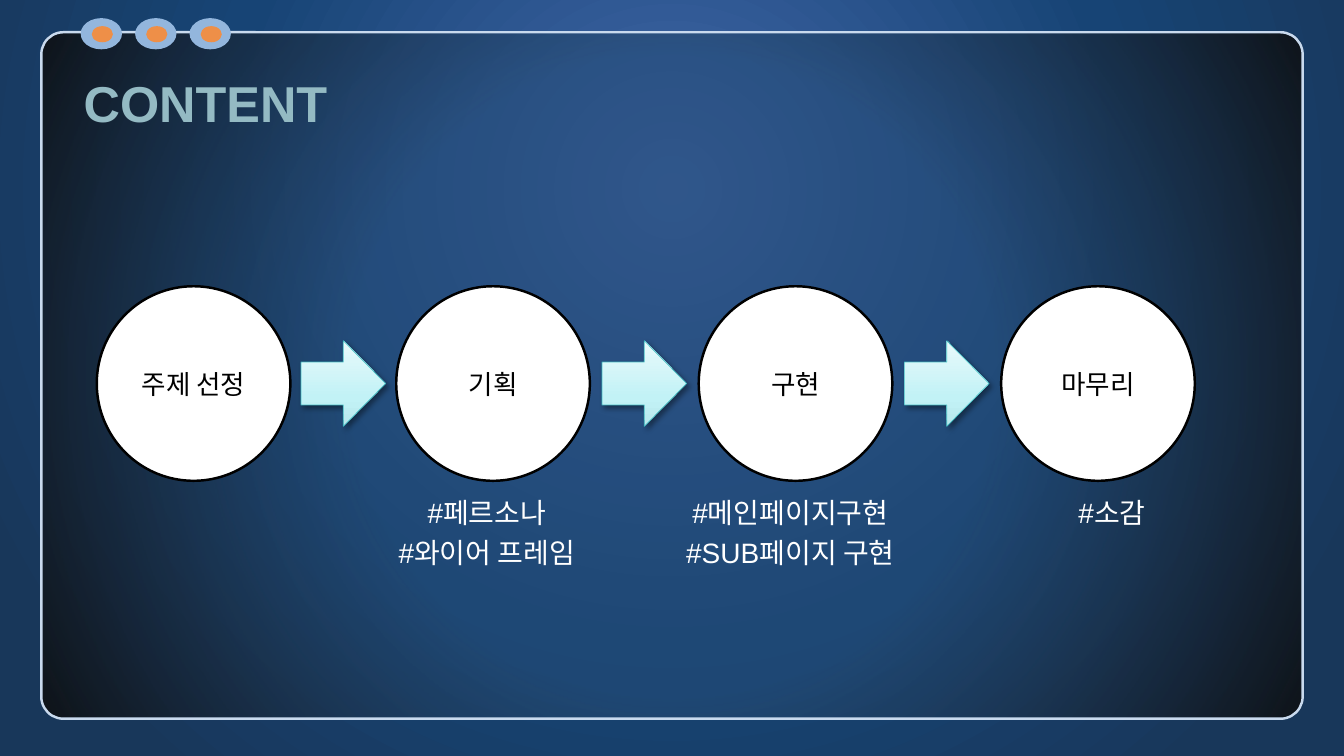
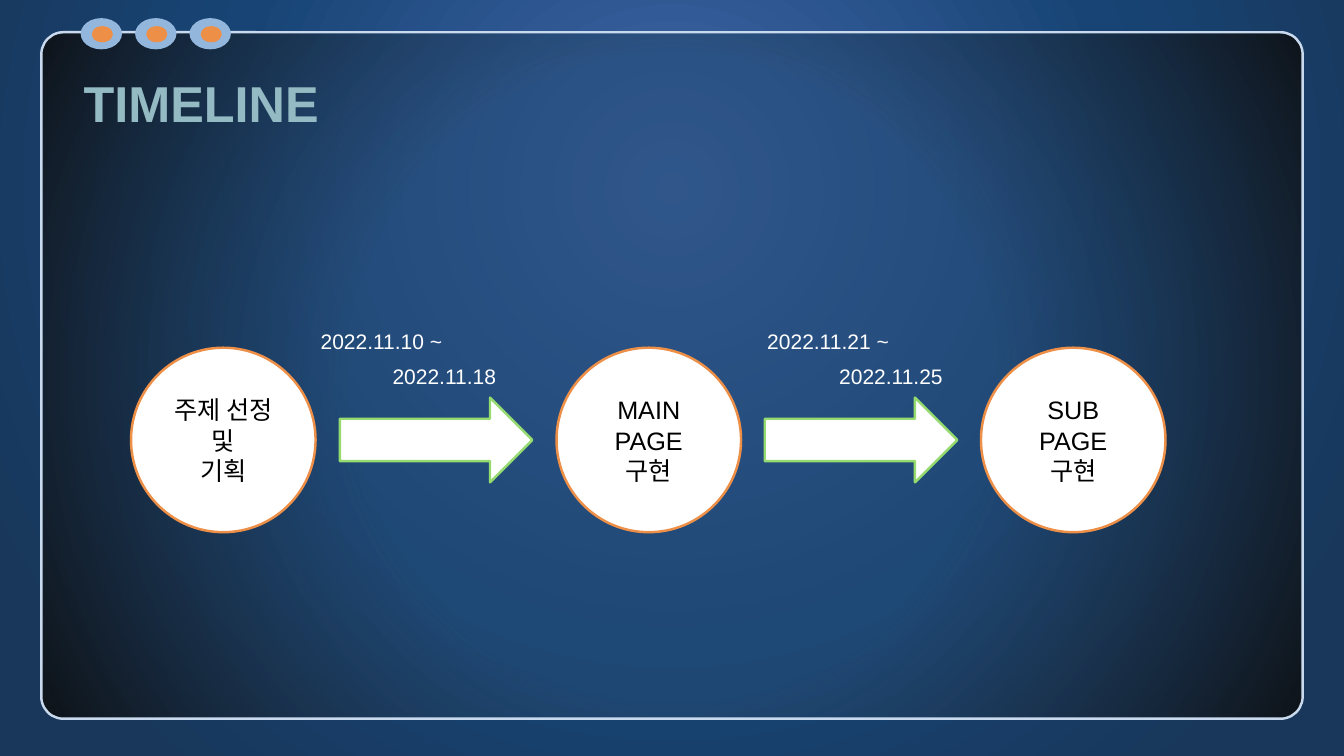
from dataclasses import dataclass

from lxml import etree
from pptx import Presentation
from pptx.dml.color import RGBColor
from pptx.enum.shapes import MSO_SHAPE
from pptx.enum.text import MSO_ANCHOR, PP_ALIGN
from pptx.oxml.ns import qn
from pptx.util import Inches, Pt

ELLIPSE, ARROW, ROUNDED = MSO_SHAPE.OVAL, MSO_SHAPE.RIGHT_ARROW, MSO_SHAPE.ROUNDED_RECTANGLE
LEFT, CENTER, RIGHT = PP_ALIGN.LEFT, PP_ALIGN.CENTER, PP_ALIGN.RIGHT
TOP, MIDDLE = MSO_ANCHOR.TOP, MSO_ANCHOR.MIDDLE


@dataclass(frozen=True)
class Theme:
    font: str = "Arial"
    white: str = "FFFFFF"
    black: str = "000000"
    title: str = "94BAC3"
    panel_line: str = "C9DAEE"
    dot: str = "93B6DD"
    orange: str = "EE8F48"
    green: str = "96DB6F"
    teal: str = "42BCC2"
    # Gradient stops: position %, colour, opacity %
    background: tuple = ((0, "4368AB", 100), (59, "174475", 100), (100, "18375A", 100))
    panel: tuple = ((45, "254B75", 60), (100, "0D0D0D", 85))
    aqua: tuple = ((0, "B8E8EC", 100), (35, "C2F2F6", 100), (100, "EAFAFB", 100))
    title_size: int = 36
    label_size: int = 20
    stage_size: int = 19
    step_size: int = 18
    date_size: int = 15
    line_width: float = 1.75
    thin_line: float = 0.5


THEME = Theme()


def add_color(parent, color, opacity):
    node = etree.SubElement(parent, qn("a:srgbClr"), val=color)
    if opacity < 100:
        etree.SubElement(node, qn("a:alpha"), val=str(opacity * 1000))


def set_gradient(holder, stops, focus=None, angle=0):
    """Turn the solid fill of an element into a circular or linear gradient."""
    gradient = etree.Element(qn("a:gradFill"), rotWithShape="1")
    stop_list = etree.SubElement(gradient, qn("a:gsLst"))
    for position, color, opacity in stops:
        stop = etree.SubElement(stop_list, qn("a:gs"), pos=str(position * 1000))
        add_color(stop, color, opacity)
    if focus:
        circle = etree.SubElement(gradient, qn("a:path"), path="circle")
        sides = {side: str(share * 1000) for side, share in zip("ltrb", focus)}
        etree.SubElement(circle, qn("a:fillToRect"), **sides)
    else:
        etree.SubElement(gradient, qn("a:lin"), ang=str(angle * 60000), scaled="0")
    holder.replace(holder.find(qn("a:solidFill")), gradient)


def add_shadow(shape):
    effects = shape.element.spPr.find(qn("a:effectLst"))
    shadow = etree.SubElement(effects, qn("a:outerShdw"), blurRad=str(Pt(4)),
                              dist=str(Pt(3)), dir=str(45 * 60000), rotWithShape="0")
    add_color(shadow, THEME.black, 38)


def write(frame, text, size, color, bold=False, aligns=(LEFT,), anchor=TOP, gap=0):
    """Write one paragraph per line; the last alignment serves the lines left over."""
    frame.word_wrap = True
    frame.vertical_anchor = anchor
    for index, line in enumerate(text.split("\n")):
        paragraph = frame.add_paragraph() if index else frame.paragraphs[0]
        paragraph.alignment = aligns[min(index, len(aligns) - 1)]
        paragraph.space_after = Pt(gap)
        run = paragraph.add_run()
        run.text = line
        run.font.name = THEME.font
        run.font.size = Pt(size)
        run.font.bold = bold
        run.font.color.rgb = RGBColor.from_string(color)


class Deck:
    def __init__(self):
        self.prs = Presentation()
        self.prs.slide_width, self.prs.slide_height = Inches(13.33), Inches(7.5)
        self.slide = None

    def shape(self, kind, left, top, width, height, fill, line=None, weight=THEME.line_width):
        shape = self.slide.shapes.add_shape(
            kind, Inches(left), Inches(top), Inches(width), Inches(height))
        shape.shadow.inherit = False
        shape.fill.solid()
        shape.fill.fore_color.rgb = RGBColor.from_string(fill)
        if line:
            shape.line.color.rgb = RGBColor.from_string(line)
            shape.line.width = Pt(weight)
        else:
            shape.line.fill.background()
        return shape

    def text(self, text, left, top, width, height, **style):
        box = self.slide.shapes.add_textbox(
            Inches(left), Inches(top), Inches(width), Inches(height))
        frame = box.text_frame
        frame.margin_left = frame.margin_right = frame.margin_top = frame.margin_bottom = 0
        write(frame, text, **style)

    def new_slide(self, title):
        self.slide = self.prs.slides.add_slide(self.prs.slide_layouts[6])
        # Background and framed panel
        self.slide.background.fill.solid()
        set_gradient(self.slide.element.find(".//" + qn("p:bgPr")), THEME.background,
                     focus=(50, 0, 50, 50))
        panel = self.shape(ROUNDED, 0.41, 0.32, 12.51, 6.81, THEME.black, THEME.panel_line)
        panel.adjustments[0] = 0.032
        set_gradient(panel.element.spPr, THEME.panel, focus=(50, 50, 50, 50))
        # Binder dots
        for index in range(3):
            left = 0.8 + index * 0.54
            self.shape(ELLIPSE, left, 0.18, 0.41, 0.31, THEME.dot)
            self.shape(ELLIPSE, left + 0.11, 0.26, 0.21, 0.16, THEME.orange)
        self.text(title, 0.83, 0.5, 11.68, 1.04, size=THEME.title_size,
                  color=THEME.title, bold=True, anchor=MIDDLE)

    def circle(self, text, left, top, width, height, line, size):
        circle = self.shape(ELLIPSE, left, top, width, height, THEME.white, line)
        write(circle.text_frame, text, size=size, color=THEME.black,
              aligns=(CENTER,), anchor=MIDDLE)

    def flow(self, texts, lefts, top, circle_size, arrow_size, circle_line, arrow_line,
             arrow_weight, size):
        """Draw a row of circles with an arrow centred in each gap."""
        width, height = circle_size
        arrow_width, arrow_height = arrow_size
        for text, left in zip(texts, lefts):
            self.circle(text, left, top, width, height, circle_line, size)
        arrow_top = top + (height - arrow_height) / 2
        return [
            self.shape(ARROW, (left + width + following - arrow_width) / 2, arrow_top,
                       arrow_width, arrow_height, THEME.white, arrow_line, arrow_weight)
            for left, following in zip(lefts, lefts[1:])
        ]


def content_slide(deck):
    deck.new_slide("CONTENT")
    arrows = deck.flow(
        ("주제 선정", "기획", "구현", "마무리"), (0.96, 3.93, 6.93, 9.93), 2.84,
        circle_size=(1.92, 1.93), arrow_size=(0.84, 0.85), circle_line=THEME.black,
        arrow_line=THEME.teal, arrow_weight=THEME.thin_line, size=THEME.stage_size)
    for arrow in arrows:
        set_gradient(arrow.element.spPr, THEME.aqua, angle=270)
        add_shadow(arrow)

    # Topics under the stages
    topics = (
        (4.83, "#페르소나\n#와이어 프레임"),
        (7.84, "#메인페이지구현\n#SUB페이지 구현"),
        (11.03, "#소감"),
    )
    for center, topic in topics:
        deck.text(topic, center - 1.4, 4.92, 2.8, 0.9, size=THEME.label_size,
                  color=THEME.white, aligns=(CENTER,), gap=4)


def timeline_slide(deck):
    deck.new_slide("TIMELINE")
    deck.flow(
        ("주제 선정\n및\n기획", "MAIN PAGE\n구현", "SUB\nPAGE\n구현"), (1.3, 5.52, 9.73), 3.45,
        circle_size=(1.83, 1.83), arrow_size=(1.91, 0.84), circle_line=THEME.orange,
        arrow_line=THEME.green, arrow_weight=THEME.line_width, size=THEME.step_size)

    # Periods above the arrows
    periods = ("2022.11.10 ~\n2022.11.18", "2022.11.21 ~\n2022.11.25")
    for index, period in enumerate(periods):
        deck.text(period, 3.18 + index * 4.43, 3.26, 1.74, 0.6, size=THEME.date_size,
                  color=THEME.white, aligns=(LEFT, RIGHT), gap=7)


def main():
    deck = Deck()
    content_slide(deck)
    timeline_slide(deck)
    deck.prs.save("out.pptx")


if __name__ == "__main__":
    main()
